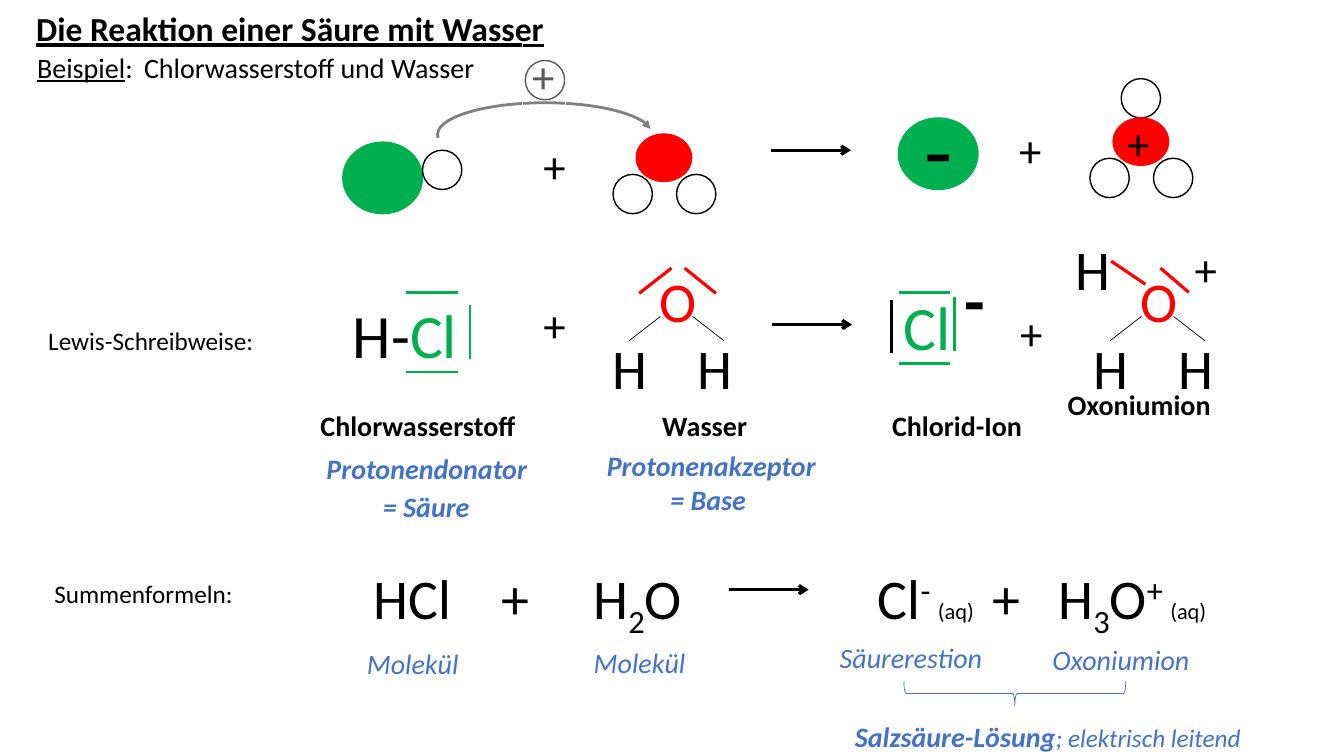
from lxml import etree
from pptx import Presentation
from pptx import util as u
from pptx.dml.color import RGBColor
from pptx.enum import shapes, text
from pptx.oxml import ns

PX = 9144
BLACK, WHITE, GREEN, RED = "000000", "FFFFFF", "00B050", "FF0000"
BLUE, GREY, DARK = "4472C4", "808080", "595959"


def px(value):
    return u.Emu(value * PX)


def rgb(value):
    return RGBColor.from_string(value)


class Board:
    """Draws reaction diagrams on one slide in a single style."""

    font = "Calibri"

    def __init__(self, slide):
        self.slide = slide

    def add_runs(self, paragraph, runs, size=20, color=BLACK, tabs=(), tab_align="l", indent=0, **style):
        props = paragraph._p.get_or_add_pPr()
        if indent:
            props.set("marL", str(px(indent)))
        if tabs:
            stops = etree.SubElement(props, ns.qn("a:tabLst"))
            for stop in tabs:
                etree.SubElement(stops, ns.qn("a:tab"), pos=str(px(stop)), algn=tab_align)
        for words, changes in runs:
            look = {"size": size, "color": color, "base": 0, **style, **changes}
            run = paragraph.add_run()
            run.text = words
            run.font.name = self.font
            run.font.size = u.Pt(look["size"])
            run.font.bold = look.get("bold")
            run.font.italic = look.get("italic")
            run.font.underline = look.get("underline")
            run.font.color.rgb = rgb(look["color"])
            if look["base"]:
                run._r.get_or_add_rPr().set("baseline", str(look["base"] * 1000))

    def text(self, x, y, w, h, *runs, border=None, **style):
        box = self.slide.shapes.add_textbox(px(x), px(y), px(w), px(h))
        frame = box.text_frame
        frame.word_wrap = True
        frame.auto_size = text.MSO_AUTO_SIZE.SHAPE_TO_FIT_TEXT
        if border:
            box.line.color.rgb = rgb(border)
            box.line.width = u.Pt(0.75)
        runs = [(run, {}) if isinstance(run, str) else run for run in runs]
        self.add_runs(frame.paragraphs[0], runs, **style)
        return frame

    def plus(self, x, y, color=BLACK, border=None):
        self.text(x, y, 43, 64, "+", size=32, color=color, border=border)

    def outline(self, kind, x, y, w, h, color, width, fill=None):
        shape = self.slide.shapes.add_shape(kind, px(x), px(y), px(w), px(h))
        shape.shadow.inherit = False
        if fill:
            shape.fill.solid()
            shape.fill.fore_color.rgb = rgb(fill)
        else:
            shape.fill.background()
        shape.line.color.rgb = rgb(color)
        shape.line.width = u.Pt(width)
        return shape

    def oval(self, x, y, w, h, fill, color):
        self.outline(shapes.MSO_SHAPE.OVAL, x, y, w, h, color, 1, fill)

    def hydrogen(self, x, y, color=BLACK):
        self.oval(x, y, 39, 39, WHITE, color)

    def chlorine(self, x, y):
        self.oval(x, y, 79, 71, GREEN, GREEN)

    def water(self, x, y):
        self.oval(x, y, 55, 47, RED, RED)
        for side in (-23, 40):
            self.hydrogen(x + side, y + 40)

    def head(self, shape, kind):
        etree.SubElement(shape.line._get_or_add_ln(), ns.qn("a:tailEnd"), type=kind)

    def line(self, x1, y1, x2, y2, color=BLACK, width=2.25, head=None):
        stroke = self.slide.shapes.add_connector(
            shapes.MSO_CONNECTOR.STRAIGHT, px(x1), px(y1), px(x2), px(y2))
        stroke.line.color.rgb = rgb(color)
        stroke.line.width = u.Pt(width)
        etree.SubElement(stroke._element.spPr, ns.qn("a:effectLst"))
        if head:
            self.head(stroke, head)

    def reaction_arrow(self, x, y):
        self.line(x, y, x + 79, y, head="arrow")

    def lewis_water(self, x, lone_pairs):
        frame = self.text(x, 259, 150, 145, ("\tO", {"color": RED}),
                          size=40, tabs=[71], tab_align="ctr")
        self.add_runs(frame.add_paragraph(), [("\tH\tH", {})],
                      size=40, tabs=[23, 107], tab_align="ctr")
        self.line(x + 32, 338, x + 63, 314, width=0.5)
        self.line(x + 95, 314, x + 126, 338, width=0.5)
        for pair in lone_pairs:
            self.line(*pair, color=RED)


def draw_particles(board):
    board.chlorine(340, 141)
    board.hydrogen(419, 149)
    board.water(631, 133)
    transfer = board.outline(shapes.MSO_SHAPE.ARC, 434, 102, 213, 63, GREY, 2)
    transfer.adjustments[0], transfer.adjustments[1] = 106.93, 214.21
    board.head(transfer, "triangle")
    board.hydrogen(521, 60, DARK)
    board.plus(518, 43, DARK, WHITE)
    board.plus(529, 133)
    board.reaction_arrow(765, 149)
    board.chlorine(891, 117)
    board.text(907, 86, 49, 121, "-", size=66)
    board.plus(1001, 117)
    board.hydrogen(1112, 78)
    board.water(1104, 117)
    board.plus(1108, 110)


def draw_lewis(board):
    board.text(38, 318, 228, 40, "Lewis-Schreibweise:", size=18)
    board.text(340, 290, 126, 84, "H-", ("Cl", {"color": GREEN}), size=44)
    for y in (290, 369):
        board.line(403, y, 454, y, GREEN, 1.75)
    board.line(466, 303, 466, 356, GREEN, 1.75)
    board.plus(529, 290)
    board.lewis_water(592, [(634, 291, 666, 266), (679, 266, 710, 291)])
    board.reaction_arrow(766, 322)
    board.text(886, 282, 84, 84, "Cl", size=44, color=GREEN)
    for y in (290, 361):
        board.line(892, y, 942, y, GREEN)
    board.line(947, 295, 947, 348, GREEN)
    board.line(884, 298, 884, 350)
    board.text(947, 251, 31, 91, "-", size=48, bold=True)
    board.plus(1002, 298)
    board.lewis_water(1069, [(1102, 259, 1136, 282), (1151, 266, 1179, 290)])
    board.text(1057, 228, 55, 77, "H", size=40)
    board.plus(1175, 235)


def draw_names(board):
    for x, y, w, name in ((308, 400, 228, "Chlorwasserstoff"), (647, 400, 126, "Wasser"),
                          (875, 400, 157, "Chlorid-Ion"), (1049, 380, 232, "Oxoniumion")):
        board.text(x, y, w, 44, name, bold=True)
    role = {"color": BLUE, "bold": True, "italic": True}
    board.text(314, 443, 244, 44, "Protonendonator", **role)
    board.text(370, 481, 110, 44, "= Säure", **role)
    acceptor = board.text(592, 440, 249, 77, "Protonenakzeptor", **role)
    board.add_runs(acceptor.add_paragraph(), [("= Base", {})], indent=63, **role)


def draw_formulas(board):
    board.text(44, 569, 228, 40, "Summenformeln:", size=18)
    sub, sup, state = {"base": -25}, {"base": 30}, {"size": 16}
    board.text(361, 554, 866, 77, "HCl\t+\tH", ("2", sub), "O\tCl", ("- ", sup), ("(aq)", state),
               "\t+\tH", ("3", sub), "O", ("+ ", sup), ("(aq)", state),
               size=40, tabs=[127, 218, 500, 614, 679])
    board.reaction_arrow(723, 585)
    for x, y, w, kind in ((354, 636, 143, "Molekül"), (579, 635, 143, "Molekül"),
                          (823, 631, 164, "Säurerestion"), (1034, 632, 164, "Oxoniumion")):
        board.text(x, y, w, 44, kind, color=BLUE, italic=True)
    brace = board.outline(shapes.MSO_SHAPE.RIGHT_BRACE, 994, 578, 25, 220, BLUE, 0.5)
    brace.rotation = 90
    board.text(838, 709, 484, 44, ("Salzsäure-Lösung", {"bold": True}),
               ("; elektrisch leitend", {"size": 18}), color=BLUE, italic=True)


def main():
    deck = Presentation()
    deck.slide_width, deck.slide_height = u.Inches(13.33), u.Inches(7.5)
    board = Board(deck.slides.add_slide(deck.slide_layouts[6]))
    board.text(26, 3, 909, 50, "Die Reaktion einer Säure mit Wasser",
               size=24, bold=True, underline=True)
    board.text(27, 45, 468, 44, ("Beispiel", {"underline": True}),
               ":\tChlorwasserstoff und Wasser", tabs=[106])
    draw_particles(board)
    draw_lewis(board)
    draw_names(board)
    draw_formulas(board)
    deck.save("out.pptx")


if __name__ == "__main__":
    main()
